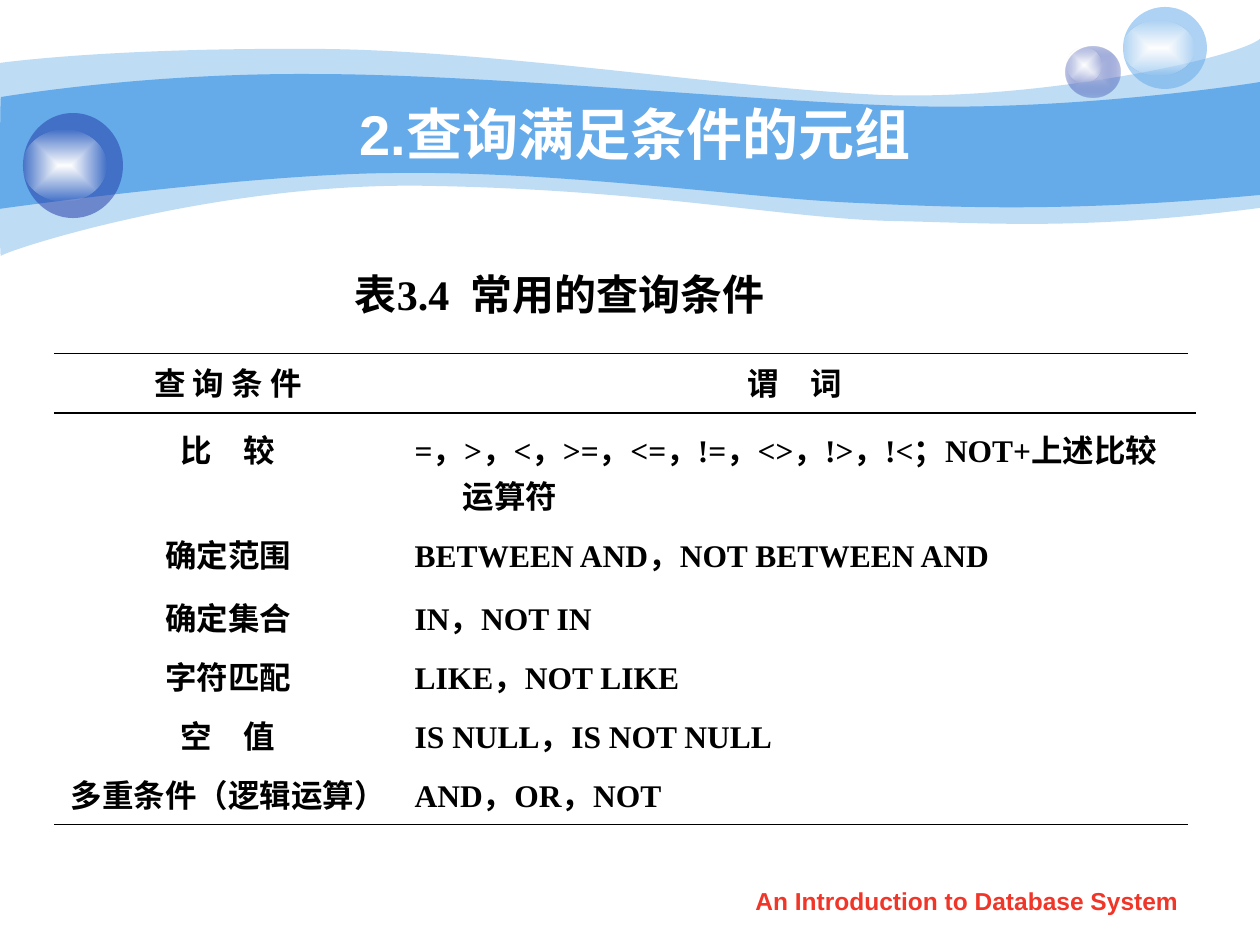
from lxml import etree
from pptx import Presentation
from pptx import util as u
from pptx.dml.color import RGBColor
from pptx.enum import shapes, text
from pptx.oxml import parse_xml
from pptx.oxml.ns import nsdecls, qn

PX = 914400 / 126
COLORS = {
    "sky": "65AAE9", "navy": "233DA9", "lilac": "C7CEE9",
    "white": "FFFFFF", "black": "000000", "red": "F03628",
}
HANGING = 48
# A pair is a corner, six numbers are a Bezier curve from the point before.
BACK_WAVE = [
    (0, 63), (30, 59, 135, 48, 311, 49), (486, 49, 725, 88, 881, 95),
    (1036, 101, 1235, 59, 1260, 39), (1260, 208),
    (1081, 231, 992, 223, 888, 221), (784, 218, 649, 190, 432, 186),
    (217, 181, 5, 251, 1, 256), (-1, 262, 0, 95, 0, 63),
]
FRONT_WAVE = [
    (1, 97), (3, 97, 139, 73, 312, 74), (486, 74, 750, 101, 905, 106),
    (1060, 111, 1230, 87, 1260, 82), (1260, 195),
    (1075, 212, 964, 208, 859, 203), (755, 199, 563, 171, 399, 173),
    (256, 173, -3, 209, -1, 209), (0, 209, 0, 97, 1, 97),
]
CONDITIONS = [
    ("查 询 条 件", "谓　词"),
    ("比　较", "=，>，<，>=，<=，!=，<>，!>，!<；NOT+上述比较运算符"),
    ("确定范围", "BETWEEN AND，NOT BETWEEN AND"),
    ("确定集合", "IN，NOT IN"),
    ("字符匹配", "LIKE，NOT LIKE"),
    ("空　值", "IS NULL，IS NOT NULL"),
    ("多重条件（逻辑运算）", "AND，OR，NOT"),
]
COLUMN_WIDTHS = [348, 786]
ROW_HEIGHTS = [67, 105, 63, 59, 59, 59, 59]


def px(*lengths):
    return [u.Emu(round(length * PX)) for length in lengths]


def rgb(name):
    return RGBColor.from_string(COLORS[name])


def fill_plain(shape, color, opacity=100):
    shape.shadow.inherit = False
    shape.line.fill.background()
    shape.fill.solid()
    shape.fill.fore_color.rgb = rgb(color)
    if opacity < 100:
        value = shape.fill._xPr.find(qn("a:solidFill"))[0]
        etree.SubElement(value, qn("a:alpha"), val=str(opacity * 1000))


def fill_glow(shape, center, edge, edge_opacity):
    """Fade from the centre colour to a translucent edge."""
    fill_plain(shape, edge)
    solid = shape.fill._xPr.find(qn("a:solidFill"))
    glow = parse_xml(
        f'<a:gradFill {nsdecls("a")} rotWithShape="1"><a:gsLst>'
        f'<a:gs pos="0"><a:srgbClr val="{COLORS[center]}"/></a:gs>'
        f'<a:gs pos="100000"><a:srgbClr val="{COLORS[edge]}">'
        f'<a:alpha val="{edge_opacity * 1000}"/></a:srgbClr></a:gs></a:gsLst>'
        '<a:path path="rect"><a:fillToRect l="50000" t="50000" r="50000" b="50000"/>'
        '</a:path></a:gradFill>')
    solid.getparent().replace(solid, glow)


def add_wave(slide, outline, opacity=100):
    """Build the outline from its corners, then bend the curved segments."""
    start, *corners = [tuple(px(*segment[-2:])) for segment in outline]
    builder = slide.shapes.build_freeform(*start)
    builder.add_line_segments(corners, close=True)
    wave = builder.convert_to_shape()
    sides = list(wave._element.iter(qn("a:lnTo")))
    for side, segment in zip(sides, outline[1:]):
        if len(segment) == 2:
            continue
        curve = etree.Element(qn("a:cubicBezTo"))
        for x, y in zip(px(*segment[::2]), px(*segment[1::2])):
            etree.SubElement(curve, qn("a:pt"),
                             x=str(x - wave.left), y=str(y - wave.top))
        side.getparent().replace(side, curve)
    fill_plain(wave, "sky", opacity)


def add_oval(slide, *box):
    return slide.shapes.add_shape(shapes.MSO_SHAPE.OVAL, *px(*box))


def add_gloss(slide, *box):
    fill_glow(add_oval(slide, *box), "white", "white", 0)


def add_bubbles(slide):
    fill_glow(add_oval(slide, 1066, 47, 54, 51), "lilac", "navy", 31)
    add_gloss(slide, 1067, 48, 35, 34)
    fill_plain(add_oval(slide, 1123, 7, 84, 82), "sky", 53)
    add_gloss(slide, 1123, 21, 71, 54)
    fill_plain(add_oval(slide, 23, 113, 100, 105), "navy", 53)
    add_gloss(slide, 23, 130, 83, 71)


def style(paragraph, size, font, color, centered=True, hanging=0):
    if centered:
        paragraph.alignment = text.PP_ALIGN.CENTER
    if hanging:
        indent = px(hanging)[0]
        properties = paragraph._p.get_or_add_pPr()
        properties.set("marL", str(indent))
        properties.set("indent", str(-indent))
    paragraph.font.size = u.Pt(size)
    paragraph.font.name = font
    paragraph.font.bold = True
    paragraph.font.color.rgb = rgb(color)


def add_text(slide, box, words, size, font, color, wrap=True, middle=False, hanging=0):
    frame = slide.shapes.add_textbox(*px(*box)).text_frame
    frame.word_wrap = wrap
    if middle:
        frame.vertical_anchor = text.MSO_ANCHOR.MIDDLE
    line = frame.paragraphs[0]
    for part in words:
        line.add_run().text = part
    style(line, size, font, color, hanging=hanging)
    return line


def add_caption(slide):
    """Add the table caption with a widened space after its number."""
    caption = add_text(slide, (285, 262, 549, 63), ["表3.4", " ", "常用的查询条件"],
                       24, "Times New Roman", "black", wrap=False, hanging=HANGING)
    caption.runs[1]._r.get_or_add_rPr().set("spc", "600")


def set_borders(cell, ruled_side):
    """Rule one side (T, B or None) and clear the others."""
    properties = cell._tc.get_or_add_tcPr()
    for place, side in enumerate("LRTB"):
        paint = (f'<a:solidFill><a:srgbClr val="{COLORS["black"]}"/></a:solidFill>'
                 if side == ruled_side else "<a:noFill/>")
        properties.insert(place, parse_xml(
            f'<a:ln{side} {nsdecls("a")} w="{u.Pt(0.45)}">{paint}</a:ln{side}>'))


def add_conditions(slide):
    table = slide.shapes.add_table(
        len(CONDITIONS), 2,
        *px(54, 353, sum(COLUMN_WIDTHS), sum(ROW_HEIGHTS))).table
    table.first_row = table.horz_banding = False
    for column, width in zip(table.columns, px(*COLUMN_WIDTHS)):
        column.width = width
    for row, height in zip(table.rows, px(*ROW_HEIGHTS)):
        row.height = height
    ruled_sides = {0: "T", len(CONDITIONS) - 1: "B"}
    for r, condition in enumerate(CONDITIONS):
        for c, words in enumerate(condition):
            cell = table.cell(r, c)
            cell.text = words
            style(cell.text_frame.paragraphs[0], 18, "Times New Roman", "black",
                  centered=r == 0 or c == 0, hanging=HANGING)
            cell.fill.background()
            set_borders(cell, ruled_sides.get(r))


def add_rule(slide, *ends):
    rule = slide.shapes.add_connector(shapes.MSO_CONNECTOR.STRAIGHT, *px(*ends))
    rule.line.color.rgb = rgb("black")
    rule.line.width = u.Pt(0.75)
    etree.SubElement(rule._element.spPr, qn("a:effectLst"))


def main():
    deck = Presentation()
    deck.slide_width, deck.slide_height = px(1260, 945)
    slide = deck.slides.add_slide(deck.slide_layouts[6])
    add_wave(slide, BACK_WAVE, 41)
    add_wave(slide, FRONT_WAVE)
    add_bubbles(slide)
    add_text(slide, (719, 880, 496, 44), ["An Introduction to Database System"],
             14, "Arial", "red")
    add_text(slide, (126, 94, 1018, 78), ["2.查询满足条件的元组"],
             32, "Arial", "white", middle=True)
    add_conditions(slide)
    add_rule(slide, 54, 413, 1196, 413)
    add_caption(slide)
    deck.save("out.pptx")


if __name__ == "__main__":
    main()
